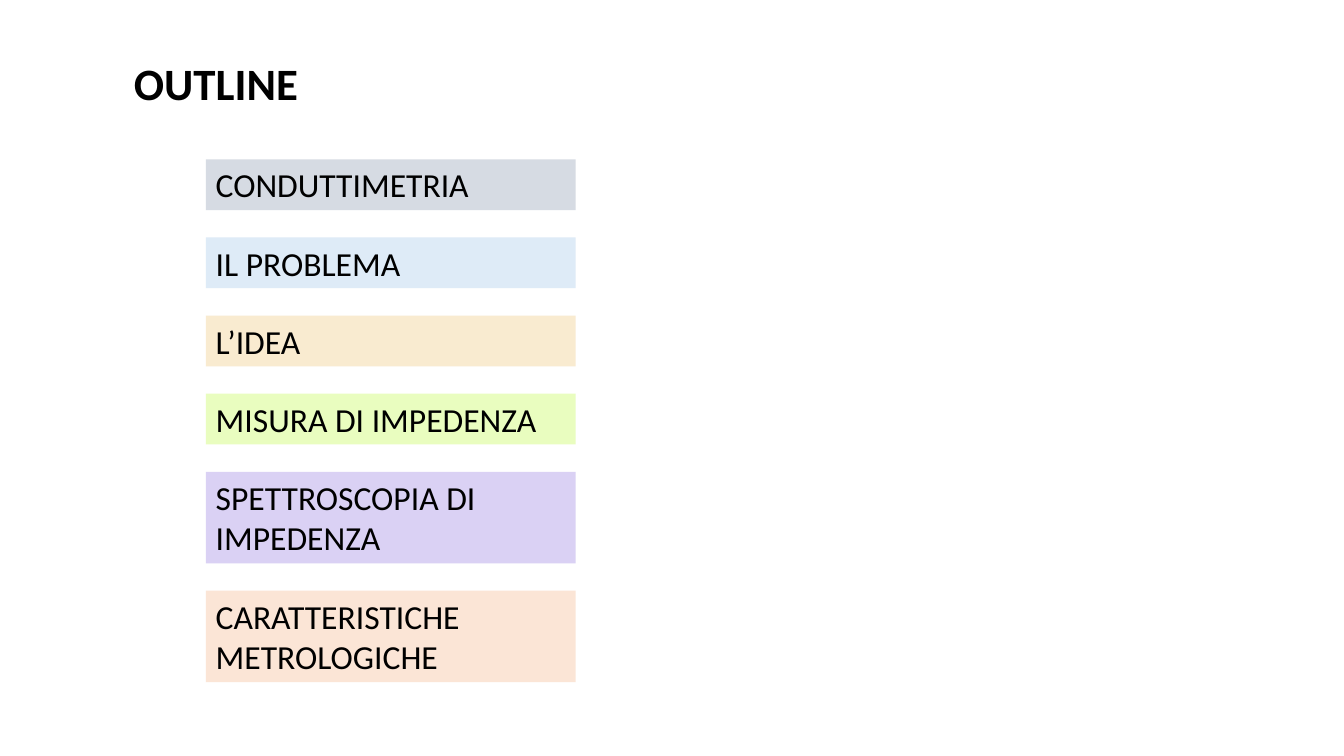
from pptx import Presentation
from pptx import util as u
from pptx.dml.color import RGBColor
from pptx.enum import shapes, text

BLACK = RGBColor(0x00, 0x00, 0x00)
GREY = RGBColor(0xD6, 0xDB, 0xE3)
BLUE = RGBColor(0xDE, 0xEB, 0xF7)
SAND = RGBColor(0xF9, 0xEB, 0xD0)
LIME = RGBColor(0xE9, 0xFD, 0xBF)
LILAC = RGBColor(0xDA, 0xD1, 0xF4)
PEACH = RGBColor(0xFB, 0xE5, 0xD6)

HEADING = "OUTLINE"
TOPICS = [
    ("CONDUTTIMETRIA", GREY, 1),
    ("IL PROBLEMA", BLUE, 1),
    ("L’IDEA", SAND, 1),
    ("MISURA DI IMPEDENZA", LIME, 1),
    ("SPETTROSCOPIA DI IMPEDENZA", LILAC, 2),
    ("CARATTERISTICHE METROLOGICHE", PEACH, 2),
]

HEADING_FONT = {"name": "Calibri", "size": u.Pt(32), "bold": True}
TOPIC_FONT = {"name": "Calibri", "size": u.Pt(24), "bold": False}
FRAME = {
    "word_wrap": True,
    "vertical_anchor": text.MSO_ANCHOR.TOP,
    "margin_left": u.Pt(7.2),
    "margin_right": u.Pt(7.2),
    "margin_top": u.Pt(3.6),
    "margin_bottom": u.Pt(3.6),
}

TOPIC_LEFT, TOPIC_TOP, TOPIC_WIDTH = 147, 113.8, 264.2
LINE_HEIGHT, PADDING, GAP = 29.1, 7.2, 19.5


def write(box, words, font):
    frame = box.text_frame
    for key, value in FRAME.items():
        setattr(frame, key, value)
    paragraph = frame.paragraphs[0]
    paragraph.alignment = text.PP_ALIGN.LEFT
    run = paragraph.add_run()
    run.text = words
    for key, value in font.items():
        setattr(run.font, key, value)
    run.font.color.rgb = BLACK


def main():
    deck = Presentation()
    deck.slide_width, deck.slide_height = u.Pt(960), u.Pt(540)
    outline = deck.slides.add_slide(deck.slide_layouts[6])

    heading = outline.shapes.add_textbox(u.Pt(88.6), u.Pt(36), u.Pt(240.5), u.Pt(46))
    write(heading, HEADING, HEADING_FONT)

    top = TOPIC_TOP
    for words, colour, lines in TOPICS:
        height = lines * LINE_HEIGHT + PADDING
        topic = outline.shapes.add_shape(
            shapes.MSO_SHAPE.RECTANGLE,
            u.Pt(TOPIC_LEFT), u.Pt(top), u.Pt(TOPIC_WIDTH), u.Pt(height),
        )
        topic.shadow.inherit = False
        topic.fill.solid()
        topic.fill.fore_color.rgb = colour
        topic.line.fill.background()
        write(topic, words, TOPIC_FONT)
        top += height + GAP

    deck.save("out.pptx")


if __name__ == "__main__":
    main()
